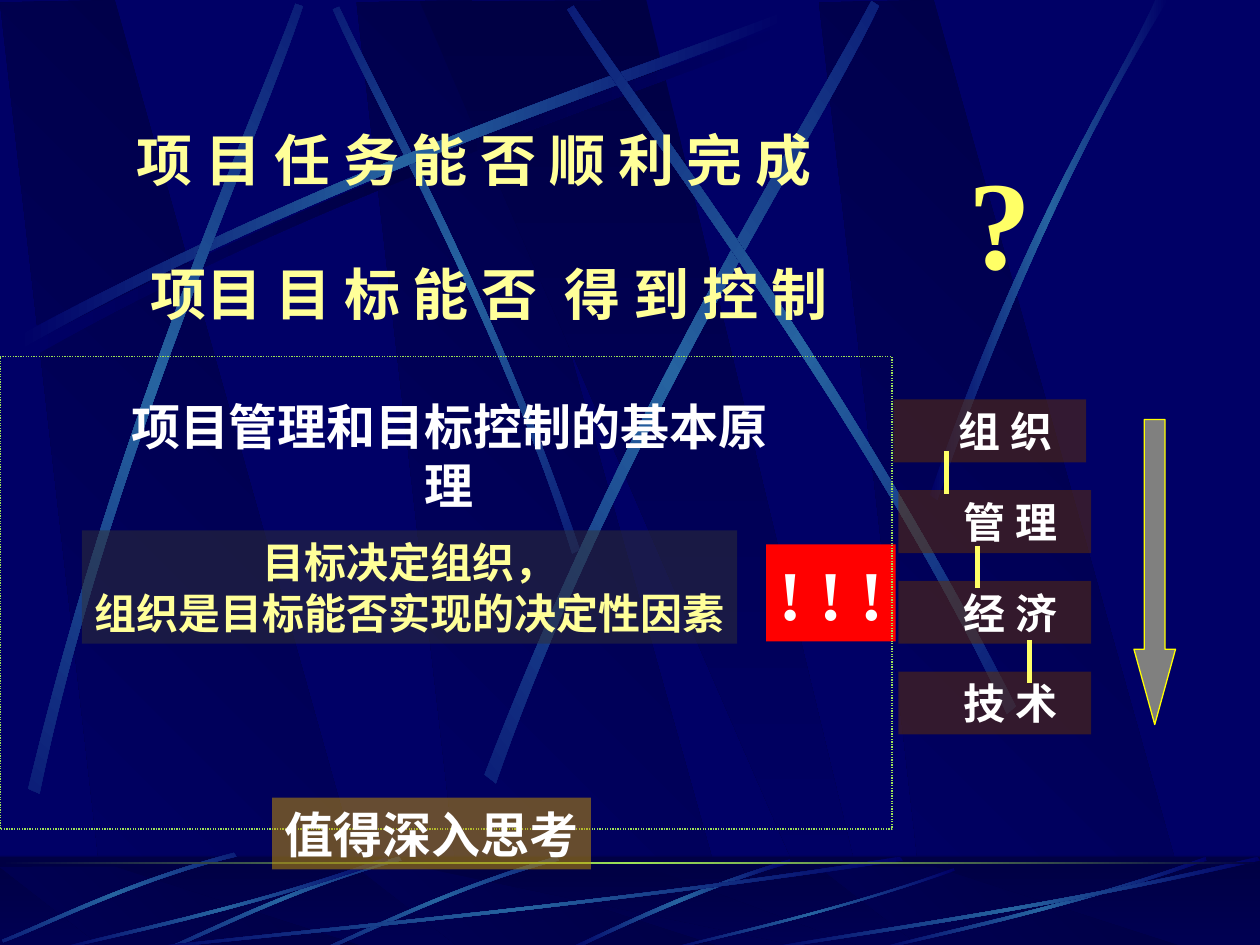
from math import cos, sin, radians
from lxml import etree
from pptx import Presentation
from pptx.dml.color import RGBColor as Rgb
from pptx.enum.dml import MSO_LINE as Dash
from pptx.enum.shapes import MSO_SHAPE as Kind, MSO_CONNECTOR as Link
from pptx.enum.text import PP_ALIGN as Align, MSO_ANCHOR as Anchor, MSO_AUTO_SIZE as Fit
from pptx.oxml import parse_xml
from pptx.oxml.ns import qn, nsdecls
from pptx.util import Inches, Pt

HUE = {"navy": "000066", "dark": "000044", "beam": "2663A0", "lime": "9CE157",
       "cream": "FFFF99", "lemon": "FFFF66", "yellow": "FFFF00", "white": "FFFFFF",
       "brown": "663300", "gray": "333333", "red": "FF0000", "gold": "CC9900"}

deck = Presentation()
deck.slide_width, deck.slide_height = Inches(10), Inches(7.5)
slide = deck.slides.add_slide(deck.slide_layouts[6])
slide.background.fill.solid()
slide.background.fill.fore_color.rgb = Rgb.from_string(HUE["navy"])
shapes = slide.shapes


def paint(shape, hues, angle=0, alpha=100):
    shape.shadow.inherit = False
    shape.line.fill.background()
    props = shape._element.spPr
    if len(hues) == 1:
        shape.fill.solid()
        shape.fill.fore_color.rgb = Rgb.from_string(HUE[hues[0]])
        if alpha < 100:
            tone = props.find(qn("a:solidFill"))[0]
            etree.SubElement(tone, qn("a:alpha")).set("val", str(alpha * 1000))
        return
    shape.fill.gradient()
    stops = "".join(
        f'<a:gs pos="{100000 * i // (len(hues) - 1)}"><a:srgbClr val="{HUE[h]}"/></a:gs>'
        for i, h in enumerate(hues))
    props.replace(props.find(qn("a:gradFill")), parse_xml(
        f'<a:gradFill rotWithShape="1" {nsdecls("a")}><a:gsLst>{stops}</a:gsLst>'
        f'<a:lin ang="{angle * 60000}" scaled="0"/></a:gradFill>'))


def trace(points, hues, angle, turn=0):
    xs, ys = zip(*points)
    cx, cy = (min(xs) + max(xs)) / 2, (min(ys) + max(ys)) / 2
    c, s = cos(radians(turn)), sin(radians(turn))
    flat = [(1000 * (cx + (x - cx) * c + (y - cy) * s),
             1000 * (cy - (x - cx) * s + (y - cy) * c)) for x, y in points]
    pen = shapes.build_freeform(*flat[0], scale=Inches(1) / 1000)
    pen.add_line_segments(flat[1:], close=True)
    shape = pen.convert_to_shape()
    shape.rotation = turn
    paint(shape, hues, angle)
    if len(points) == 8:
        lines = list(shape._element.iter(qn("a:lnTo")))
        for trio in (lines[:3], lines[4:7]):
            curve = etree.Element(qn("a:cubicBezTo"))
            trio[0].addprevious(curve)
            for line in trio:
                curve.append(line[0])
                line.getparent().remove(line)


slant = [(0.86, 7.5), (3.02, 7.52), (0.91, 0), (0, 0.02)]
wedge = [(3.33, 0.01), (6.58, 7.51), (6.94, 7.51), (5.13, 0)]
arc = [(0.14, 2.67), (2.78, 1.25), (5.18, 0.51), (6.2, 0.1),
       (6.23, 0.16), (5.22, 0.61), (2.48, 1.43), (0.17, 2.77)]
beams = [
    ([(x + 0.06, y + 0.08) for x, y in arc], 0, "dark"),
    ([(4.6, 4.36), (3.91, 2.34), (3.02, 0.77), (2.69, 0.05),
      (2.64, 0.07), (2.95, 0.79), (3.98, 2.58), (4.54, 4.39)], 45, "beam"),
    (arc, 0, "beam"),
    ([(0.23, 6.25), (0.93, 3.34), (1.97, 1.05), (2.35, 0.02),
      (2.41, 0.04), (2.07, 1.08), (0.86, 3.68), (0.32, 6.29)], 311.7, "beam"),
    ([(3.85, 6.14), (4.98, 3.2), (6.38, 1.02), (6.92, 0),
      (6.98, 0.04), (6.49, 1.08), (4.86, 3.55), (3.94, 6.21)], 321.6, "beam"),
    ([(8.06, 5.6), (6.7, 2.93), (5.16, 0.95), (4.55, 0.04),
      (4.5, 0.07), (5.07, 1.01), (6.85, 3.25), (7.99, 5.66)], 34.8, "beam"),
    ([(7.38, 3.93), (8.14, 1.73), (8.88, 0.66), (9.17, 0),
      (9.27, 0), (8.36, 1.45), (7.69, 3.22), (7.44, 3.97)], 0, "beam")]
blade = [(3.17, 6.8), (2.3, 7.05), (1.62, 7.4), (1.31, 7.53),
         (1.32, 7.55), (1.63, 7.43), (2.4, 7.03), (3.19, 6.83)]
reed = [(3.08, 6.83), (1.93, 7.23), (0.88, 7.44), (0.43, 7.55),
        (0.42, 7.54), (0.86, 7.41), (2.06, 7.18), (3.07, 6.8)]
grass = [
    ([(6.27, 6.82), (5.37, 7.09), (4.77, 7.42), (4.48, 7.54),
      (4.53, 7.55), (4.9, 7.37), (5.71, 7), (6.28, 6.85)], 0, "beam"),
    ([(x + 1.25, y) for x, y in blade], 314.9, "beam"),
    (blade, 314.9, "beam"),
    ([(1.86, 6.77), (0.99, 7), (0.33, 7.34), (0.02, 7.46),
      (0.03, 7.48), (0.34, 7.37), (1.1, 6.98), (1.88, 6.8)], 314.9, "beam"),
    ([(7.17, 6.83), (4.49, 7.23), (2.06, 7.44), (1.03, 7.55),
      (1, 7.54), (2.02, 7.41), (4.8, 7.18), (7.14, 6.8)], 0, "beam"),
    (reed, 0, "beam"),
    ([(7.58, 6.91), (6.58, 7.26), (5.67, 7.45), (5.28, 7.55),
      (5.27, 7.54), (5.65, 7.43), (6.69, 7.22), (7.57, 6.89)], 0, "beam"),
    ([(x + 6.5, y) for x, y in reed], 0, "beam"),
    ([(10, 6.83), (8.27, 7.23), (6.69, 7.44), (6.02, 7.55),
      (6, 7.54), (6.66, 7.41), (8.46, 7.18), (9.98, 6.8)], 0, "beam")]

for top, scale, streaks in [(0, 1, beams), (6.88, 0.09, grass)]:
    if top:
        base = shapes.add_shape(Kind.RECTANGLE, 0, Inches(6.8), Inches(10), Inches(0.75))
        paint(base, ["dark", "navy"], 90)
    for shift in (2.83, 0, 6.5):
        trace([(x + shift, top + y * scale) for x, y in slant], ["dark", "navy"], 135)
    trace([(x, top + y * scale) for x, y in wedge], ["dark", "navy"], 90)
    if top:
        veil = shapes.add_shape(Kind.RECTANGLE, 0, Inches(6.79), Inches(10), Inches(0.75))
        paint(veil, ["dark"], alpha=50)
    for points, turn, hue in streaks:
        trace(points, ["navy", hue, "navy"], 180, turn)
rule = shapes.add_shape(Kind.RECTANGLE, 0, Inches(6.84), Inches(10), Inches(0.02))
paint(rule, ["dark", "lime", "dark"], 180)

labels = [
    ("项 目 任 务 能 否 顺 利 完 成", (0.25, 0.94, 6.92, 0.64), 32, "cream", None, 100, 0.21),
    ("项目 目 标 能 否| |得 到 控 制", (0.39, 2.01, 6.87, 0.64), 32, "cream", None, 100, 0.21),
    ("?", (7.59, 1.09, 0.7, 1.3), 72, "lemon", None, 100, 0.1)]
for i, word in enumerate(["组 织", "管 理", "经 济", "技 术"]):
    labels.append((word, (7.13 if i else 7.09, 3.17 + 0.72 * i, 1.53, 0.5),
                   24, "white", "brown", 50, 0.35))
labels += [
    ("目标决定组织，\n组织是目标能否实现的决定性因素", (0.65, 4.21, 5.2, 0.9),
     24, "cream", "gray", 50, 0.1),
    ("! ! !", (6.08, 4.32, 1.03, 0.77), 40, "white", "red", 100, 0.1),
    ("项目管理和目标控制的基本原理", (0.75, 3.33, 5.63, 0.57), 28, "white", None, 100, 0.1),
    ("值得深入思考", (2.16, 6.33, 2.53, 0.57), 28, "white", "gold", 50, 0.1)]
for text, spot, size, hue, fill, alpha, inset in labels:
    if text == "值得深入思考":
        frame = shapes.add_shape(Kind.RECTANGLE, 0, Inches(2.83), Inches(7.08), Inches(3.75))
        frame.shadow.inherit = False
        frame.fill.background()
        frame.line.color.rgb = Rgb.from_string(HUE["lime"])
        frame.line.width = Pt(0.74)
        frame.line.dash_style = Dash.ROUND_DOT
    spot = [Inches(n) for n in spot]
    if fill:
        box = shapes.add_shape(Kind.RECTANGLE, *spot)
        paint(box, [fill], alpha=alpha)
    else:
        box = shapes.add_textbox(*spot)
    body = box.text_frame
    body.text, *rest = text.split("|")
    for piece in rest:
        run = body.paragraphs[0].add_run()
        run.text = piece
        if piece == " ":
            run.font._element.set("spc", "800")
    body.word_wrap = False
    body.auto_size = Fit.SHAPE_TO_FIT_TEXT
    body.vertical_anchor = Anchor.MIDDLE
    body.margin_left = Inches(inset)
    for para in body.paragraphs:
        para.alignment = Align.CENTER
        for run in para.runs:
            run.font.name = "Times New Roman"
            run.font.size = Pt(size)
            run.font.bold = True
            run.font.color.rgb = Rgb.from_string(HUE[hue])

for x, y in [(7.51, 3.58), (7.76, 4.33), (8.17, 5.08)]:
    link = shapes.add_connector(Link.STRAIGHT, Inches(x), Inches(y), Inches(x), Inches(y + 0.34))
    link.line.color.rgb = Rgb.from_string(HUE["lemon"])
    link.line.width = Pt(3)
    etree.SubElement(link._element.spPr, qn("a:effectLst"))

arrow = shapes.add_shape(Kind.DOWN_ARROW, Inches(9), Inches(3.33), Inches(0.33), Inches(2.42))
arrow.adjustments[0], arrow.adjustments[1] = 0.5, 1.81
paint(arrow, ["cream"], alpha=50)
arrow.line.color.rgb = Rgb.from_string(HUE["yellow"])
arrow.line.width = Pt(0.74)

deck.save("out.pptx")
